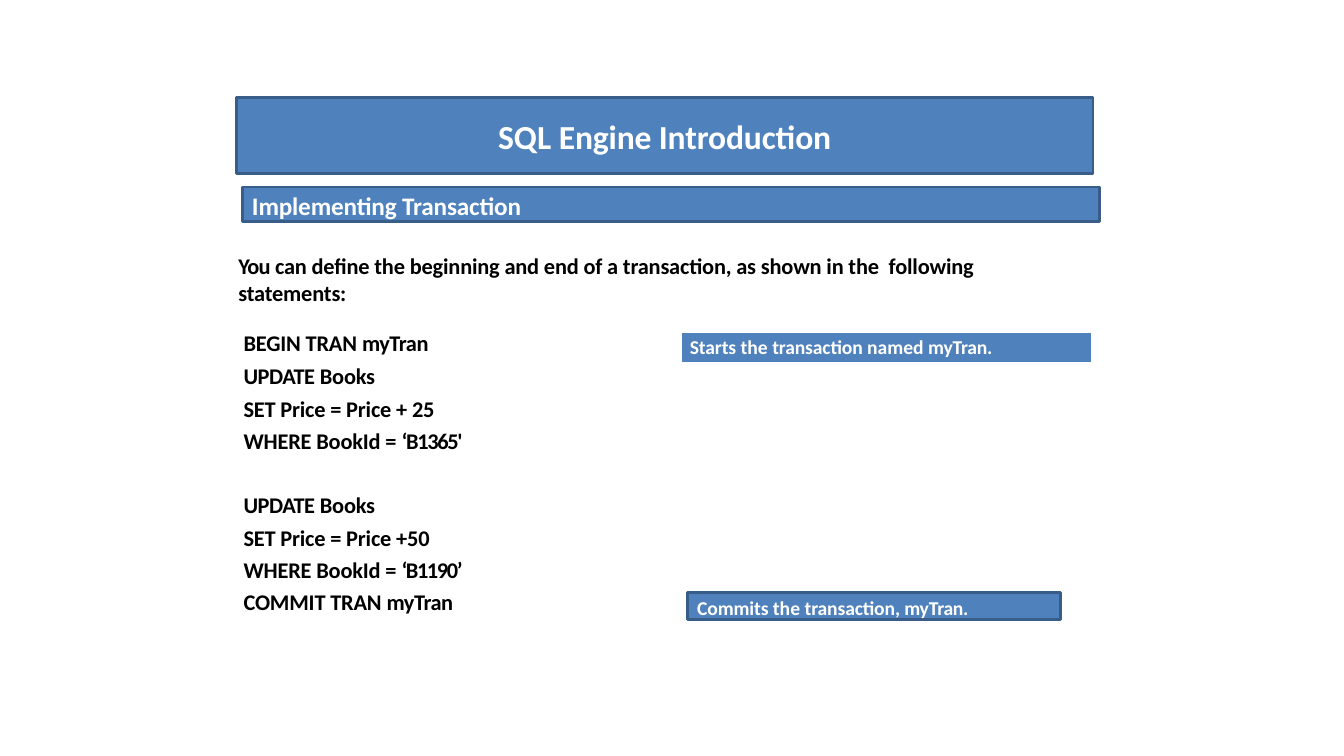
"""Build the slide on implementing a transaction."""
from pptx import Presentation
from pptx.dml.color import RGBColor
from pptx.enum.shapes import MSO_SHAPE as Shape
from pptx.enum.text import MSO_ANCHOR as Anchor, MSO_AUTO_SIZE as AutoSize, PP_ALIGN as Align
from pptx.util import Pt

PX = 9525
COLORS = {"fill": "4F81BC", "border": "385D89", "white": "FFFFFF", "black": "000000"}


def paint(shape, border, width):
    shape.fill.solid()
    shape.fill.fore_color.rgb = RGBColor.from_string(COLORS["fill"])
    shape.line.color.rgb = RGBColor.from_string(COLORS[border])
    shape.line.width = Pt(width)


def write(shape, left, top, size, color, paragraphs):
    frame = shape.text_frame
    frame.word_wrap = True
    frame.auto_size = AutoSize.NONE
    frame.vertical_anchor = Anchor.TOP
    frame.margin_left, frame.margin_top = left * PX, top * PX
    frame.margin_right = frame.margin_bottom = 0
    for index, (before, spacing, runs) in enumerate(paragraphs):
        paragraph = frame.add_paragraph() if index else frame.paragraphs[0]
        paragraph.alignment = Align.LEFT
        paragraph.space_before = Pt(before)
        paragraph.line_spacing = spacing
        for text, tracking in runs:
            run = paragraph.add_run()
            run.text = text
            run.font.name = "Calibri"
            run.font.size = Pt(size)
            run.font.bold = True
            run.font.color.rgb = RGBColor.from_string(COLORS[color])
            run._r.get_or_add_rPr().set("spc", str(round(tracking * 100)))


presentation = Presentation()
presentation.slide_width, presentation.slide_height = 1280 * PX, 720 * PX
slide = presentation.slides.add_slide(presentation.slide_layouts[5])

title = slide.shapes.title
title.left, title.top, title.width, title.height = 225 * PX, 93 * PX, 816 * PX, 72 * PX
paint(title, "border", 2)
write(title, 0, 0, 24, "white", [(0, Pt(29.2), [("SQL ", 0), ("Engine Introduction", -0.1)])])
title.text_frame.vertical_anchor = Anchor.MIDDLE
title.text_frame.paragraphs[0].alignment = Align.CENTER

text_boxes = [
    ((226, 239, 809, 54), 1, [
        (0, 1, [("You ", -0.5), ("can define the beginning and end of a transaction, "
                                 "as shown in the  following statements:", -0.1)]),
    ]),
    ((231, 307, 382, 128), 1, [
        (0, 1.2, [("BEGIN TRAN ", -0.1), ("myTran", -0.3)]),
        (1, 1.2, [("UPDATE ", -0.3), ("Books", -0.1)]),
        (3.9, 1, [("SET Price = Price + 25", -0.1)]),
        (3.9, 1, [("WHERE BookId ", -0.1), ("= ", -0.1), ("‘B1365'", -0.9)]),
    ]),
    ((231, 461, 382, 126), 7, [
        (0, 1, [("UPDATE ", -0.3), ("Books", -0.1)]),
        (3.9, 1, [("SET Price = Price +50", -0.1)]),
        (3.9, 1, [("WHERE BookId = ", -0.1), ("‘B1190’", -1)]),
        (3.8, 1, [("COMMIT TRAN ", -0.1), ("myTran", -0.3)]),
    ]),
]
for bounds, top, paragraphs in text_boxes:
    box = slide.shapes.add_textbox(*(value * PX for value in bounds))
    write(box, 1, top, 16, "black", paragraphs)

banners = [
    ((231, 178, 816, 33), "border", 2, 3, 18, [("Implementing Transaction", -0.1)]),
    ((648, 315, 393, 32), "white", 3, 4, 14,
     [("Starts ", -0.1), ("the ", 0), ("transaction ", -0.1), ("named ", 0), ("myTran.", -0.2)]),
    ((655, 564, 355, 26), "border", 2, 4, 14,
     [("Commits ", -0.1), ("the ", 0), ("transaction, ", -0.1), ("myTran.", -0.2)]),
]
for bounds, border, width, top, size, runs in banners:
    banner = slide.shapes.add_shape(Shape.RECTANGLE, *(value * PX for value in bounds))
    banner.shadow.inherit = False
    paint(banner, border, width)
    write(banner, 9, top, size, "white", [(0, 1, runs)])

presentation.save("out.pptx")
